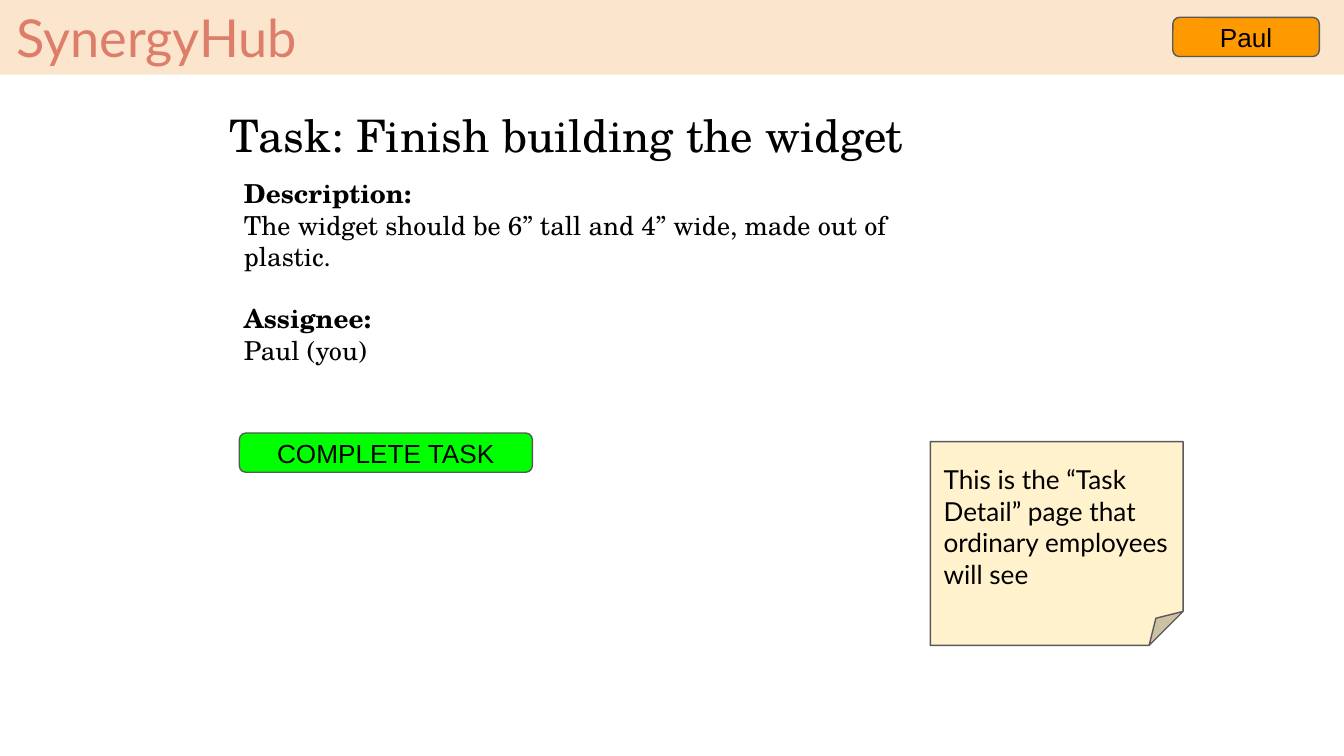
from pptx import Presentation
from pptx.dml.color import RGBColor
from pptx.enum import shapes, text
from pptx.util import Pt

BLACK, BORDER = "000000", "595959"
SERIF, SANS, HUMANIST = "TeX Gyre Schola", "Arial", "Lato"
LEFT, CENTER = text.PP_ALIGN.LEFT, text.PP_ALIGN.CENTER
TOP, MIDDLE = text.MSO_ANCHOR.TOP, text.MSO_ANCHOR.MIDDLE
ROUNDED = shapes.MSO_SHAPE.ROUNDED_RECTANGLE


def color(value):
    return RGBColor.from_string(value)


def place(part, box):
    part.left, part.top, part.width, part.height = (Pt(v) for v in box)


def write(part, lines, size, face, ink=BLACK, align=LEFT, anchor=TOP):
    frame = part.text_frame
    frame.text = "\n".join(lines)
    frame.word_wrap = True
    frame.auto_size = text.MSO_AUTO_SIZE.NONE
    frame.vertical_anchor = anchor
    frame.margin_left = frame.margin_right = Pt(7.2)
    frame.margin_top = frame.margin_bottom = Pt(7.2)
    for line in frame.paragraphs:
        line.alignment = align
        line.space_before = Pt(0)
        line.font.size = Pt(size)
        line.font.name = face
        line.font.color.rgb = color(ink)


def panel(slide, kind, box, fill, border=None):
    part = slide.shapes.add_shape(kind, *(Pt(v) for v in box))
    part.shadow.inherit = False
    part.fill.solid()
    part.fill.fore_color.rgb = color(fill)
    if border:
        part.line.color.rgb = color(border)
        part.line.width = Pt(0.75)
    else:
        part.line.fill.background()
    return part


def button(slide, label, box, fill):
    face = panel(slide, ROUNDED, box, fill, BORDER)
    write(face, [label], 14, SANS, align=CENTER, anchor=MIDDLE)


def header(slide, box):
    x, y, w, h = box
    panel(slide, shapes.MSO_SHAPE.RECTANGLE, box, "FCE5CD")
    app_name = slide.shapes.add_textbox(
        Pt(x + 2), Pt(y - 4.3), Pt(362), Pt(48))
    write(app_name, ["SynergyHub"], 28, HUMANIST, "DD7E6B")
    button(slide, "Paul", (x + w - 91.7, y + 9.3, 78.5, 21), "FF9900")


def section(body, heading, detail, box):
    place(body, box)
    write(body, [heading, detail], 14, SERIF)
    body.text_frame.paragraphs[0].font.bold = True
    for line in body.text_frame.paragraphs:
        properties = line._p.get_or_add_pPr()
        properties.set("marL", "0")
        properties.set("indent", "0")
        bullet = properties.makeelement(
            "{http://schemas.openxmlformats.org/drawingml/2006/main}buNone", {})
        properties.append(bullet)


def task_detail(slide, box):
    x, y, w, h = box
    task, description, assignee = slide.placeholders
    place(task, (x, y, w, 44))
    write(task, ["Task: Finish building the widget"], 24, SERIF)
    section(description, "Description:",
            "The widget should be 6” tall and 4” wide, made out of plastic.",
            (x + 7.5, y + 37.5, 378, 82))
    section(assignee, "Assignee:", "Paul (you)",
            (x + 7.5, y + 104.5, 114.5, 48))
    button(slide, "COMPLETE TASK", (x + 12.2, y + h - 21, 157, 21), "00FF00")


def sticky_note(slide, message, box):
    note = panel(slide, shapes.MSO_SHAPE.FOLDED_CORNER, box, "FFF2CC", BORDER)
    write(note, [message], 14, HUMANIST, anchor=MIDDLE)


deck = Presentation()
deck.slide_width, deck.slide_height = Pt(720), Pt(405)
page = deck.slides.add_slide(deck.slide_layouts[3])
for extra in list(page.placeholders)[3:]:
    extra._element.getparent().remove(extra._element)
header(page, (0, 0, 720, 40))
task_detail(page, (116, 50.4, 448.5, 202.6))
sticky_note(page, "This is the “Task Detail” page that ordinary employees will see",
            (498.4, 236.6, 135.4, 109.2))
deck.save("out.pptx")
